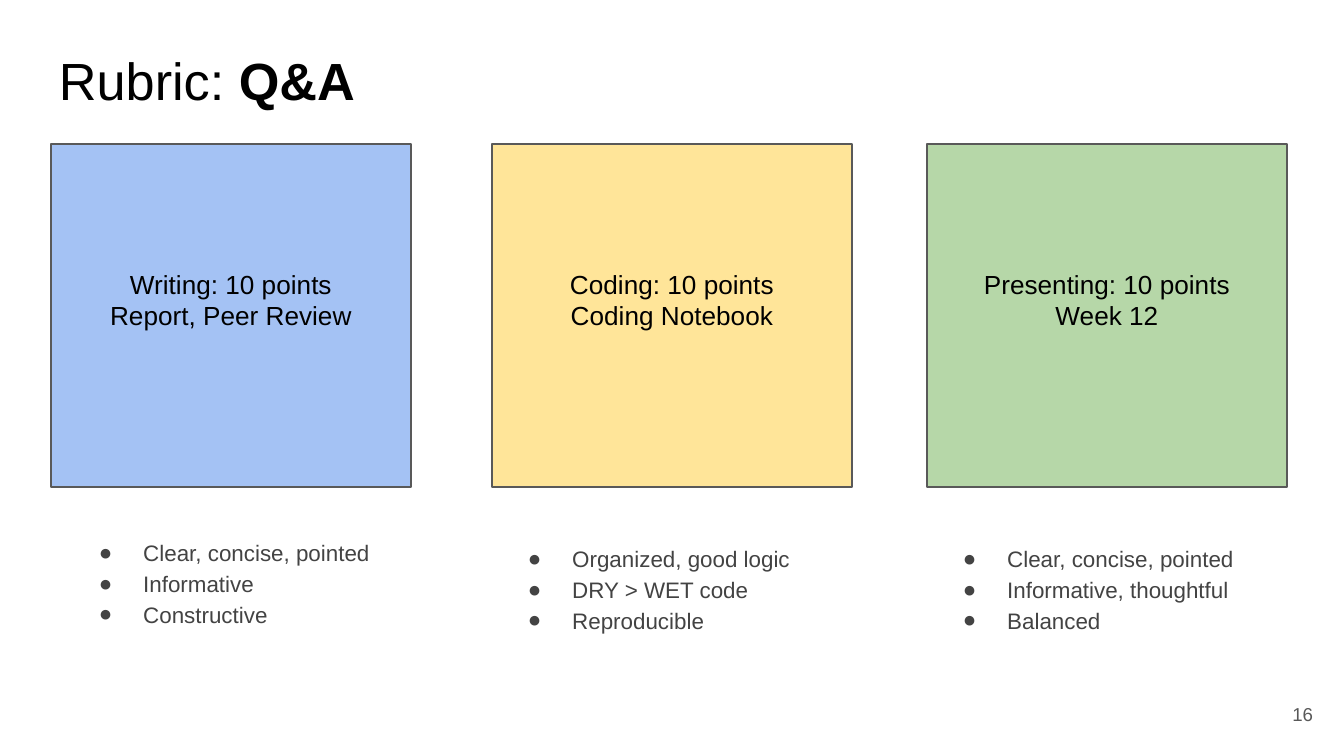
from lxml import etree
from pptx import Presentation
from pptx import util as u
from pptx.dml.color import RGBColor
from pptx.enum import shapes, text
from pptx.oxml.ns import qn

BLACK = RGBColor(0x00, 0x00, 0x00)
INK = RGBColor(0x43, 0x43, 0x43)
GRAY = RGBColor(0x59, 0x59, 0x59)
BLUE = RGBColor(0xA4, 0xC2, 0xF4)
YELLOW = RGBColor(0xFF, 0xE5, 0x99)
GREEN = RGBColor(0xB6, 0xD7, 0xA8)

COMPARISON_LAYOUT = 4
EMU_PER_PX = 914400 / 134.4
INSET = 13


def px(length):
    return u.Emu(round(length * EMU_PER_PX))


class RubricPage:
    """The current slide together with its type style."""

    font = "Arial"

    def __init__(self, deck):
        self.page = deck.slides.add_slide(deck.slide_layouts[COMPARISON_LAYOUT])
        self.bodies = list(self.page.placeholders)[1:]

    def place(self, box, left, top, width, height):
        box.left, box.top = px(left), px(top)
        box.width, box.height = px(width), px(height)

    def frame(self, box, anchor, top=INSET, bottom=INSET):
        frame = box.text_frame
        frame.word_wrap = True
        frame.auto_size = text.MSO_AUTO_SIZE.NONE
        frame.vertical_anchor = anchor
        frame.margin_left = frame.margin_right = px(INSET)
        frame.margin_top, frame.margin_bottom = px(top), px(bottom)
        return frame

    def style(self, para, size, color, align):
        para.alignment = align
        para.font.name = self.font
        para.font.size = u.Pt(size)
        para.font.color.rgb = color

    def title(self, plain, strong, *area):
        box = self.page.shapes.title
        self.place(box, *area)
        para = self.frame(box, text.MSO_ANCHOR.TOP).paragraphs[0]
        self.style(para, 28, BLACK, text.PP_ALIGN.LEFT)
        para.add_run().text = plain
        span = para.add_run()
        span.text = strong
        span.font.bold = True

    def card(self, lines, fill, *area):
        box = self.page.shapes.add_shape(
            shapes.MSO_SHAPE.RECTANGLE, *map(px, area))
        box.shadow.inherit = False
        box.fill.solid()
        box.fill.fore_color.rgb = fill
        box.line.color.rgb = GRAY
        box.line.width = u.Pt(0.75)
        # The deeper bottom inset lifts the text one half line above centre.
        para = self.frame(box, text.MSO_ANCHOR.MIDDLE, bottom=45).paragraphs[0]
        para.text = "\v".join(lines)
        self.style(para, 14, BLACK, text.PP_ALIGN.CENTER)

    def bullets(self, items, *area):
        box = self.bodies.pop(0)
        self.place(box, *area)
        frame = self.frame(box, text.MSO_ANCHOR.TOP, top=40)
        frame.text = "\n".join(items)
        for para in frame.paragraphs:
            self.style(para, 12, INK, text.PP_ALIGN.LEFT)
            para.font.bold = False
            para.line_spacing = 1.15
            para.space_before = para.space_after = u.Pt(0)
            self.mark(para)

    def mark(self, para):
        """Give the paragraph a round bullet with a hanging indent."""
        props = para._p.get_or_add_pPr()
        props.set("marL", str(u.Inches(0.5)))
        props.set("indent", str(-u.Inches(0.33)))
        color = etree.SubElement(props, qn("a:buClr"))
        etree.SubElement(color, qn("a:srgbClr"), val=str(INK))
        etree.SubElement(props, qn("a:buFont"), typeface=self.font)
        etree.SubElement(props, qn("a:buChar"), char="●")
        props.append(props.find(qn("a:defRPr")))

    def number(self, value, *area):
        box = self.page.shapes.add_textbox(*map(px, area))
        para = self.frame(box, text.MSO_ANCHOR.MIDDLE).paragraphs[0]
        para.text = str(value)
        self.style(para, 10, GRAY, text.PP_ALIGN.RIGHT)

    def remove_unused(self):
        for body in self.bodies:
            body.element.getparent().remove(body.element)


def main():
    deck = Presentation()
    deck.slide_width, deck.slide_height = px(1344), px(756)
    rubric = RubricPage(deck)
    rubric.title("Rubric: ", "Q&A", 46, 35, 1253, 85)
    columns = [
        (51, BLUE, ["Writing: 10 points", "Report, Peer Review"],
         (63, 495), ["Clear, concise, pointed", "Informative", "Constructive"]),
        (492, YELLOW, ["Coding: 10 points", "Coding Notebook"],
         (492, 501), ["Organized, good logic", "DRY > WET code", "Reproducible"]),
        (927, GREEN, ["Presenting: 10 points", "Week 12"],
         (927, 501), ["Clear, concise, pointed", "Informative, thoughtful", "Balanced"]),
    ]
    for left, fill, lines, corner, items in columns:
        rubric.card(lines, fill, left, 144, 360, 343)
        rubric.bullets(items, *corner, 400, 240)
    rubric.number(16, 1246, 685, 80, 58)
    rubric.remove_unused()
    deck.save("out.pptx")


if __name__ == "__main__":
    main()
